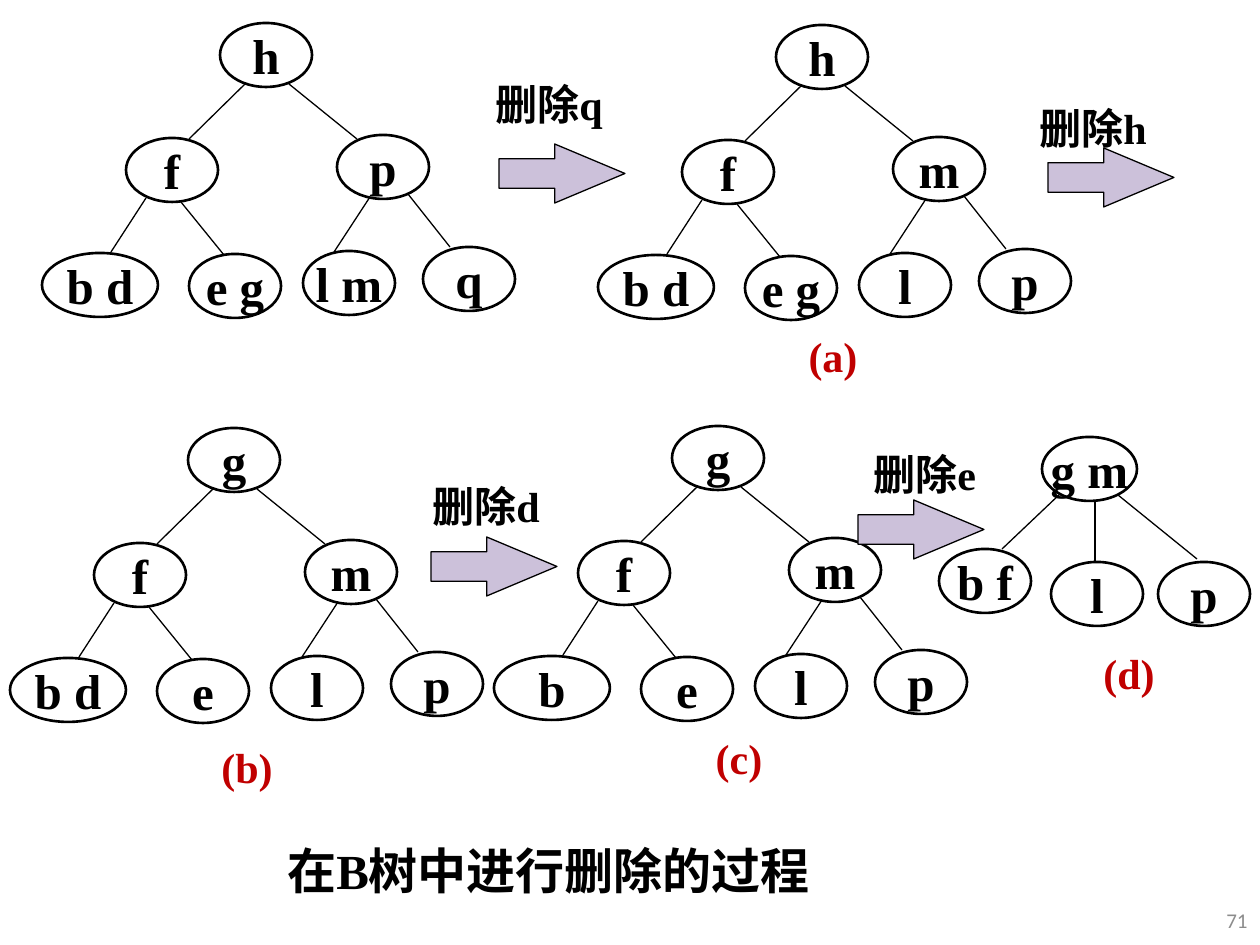
from dataclasses import dataclass

import lxml.etree
import pptx
import pptx.dml.color
import pptx.enum.shapes
import pptx.enum.text
import pptx.oxml.ns
import pptx.util

PIXELS_PER_INCH = 126
BLACK = "000000"
RED = "C00000"
GRAY = "8C8C8C"
LAVENDER = "CCC1DA"
SERIF = "Times New Roman"
NODE_WIDTH, NODE_HEIGHT = 92, 64
STEP_WIDTH, CAPTION_WIDTH = 150, 84
ALIGN = pptx.enum.text.PP_ALIGN
SHAPE = pptx.enum.shapes.MSO_SHAPE


@dataclass
class Node:
    left: int
    top: int
    width: int = NODE_WIDTH


@dataclass
class Edge:
    start_x: int
    start_y: int
    end_x: int
    end_y: int


@dataclass
class Tree:
    left: int
    top: int
    keys: list[str]
    nodes: list[Node]
    edges: list[Edge]


@dataclass
class Label:
    text: str
    left: int
    top: int
    width: int = STEP_WIDTH
    height: int = 54
    size: int = 24
    color: str = BLACK
    alignment: ALIGN = ALIGN.LEFT
    font: str = SERIF
    bold: bool = True


BINARY_NODES = [
    Node(178, 0),
    Node(84, 115), Node(295, 112),
    Node(0, 230, 116), Node(147, 231), Node(261, 228), Node(381, 224),
]
BINARY_EDGES = [
    Edge(204, 60, 147, 116), Edge(247, 61, 315, 116),
    Edge(104, 175, 69, 229), Edge(139, 179, 182, 232),
    Edge(328, 174, 292, 229), Edge(366, 171, 408, 224),
]
TERNARY_NODES = [Node(103, 0, 95), Node(0, 112), Node(112, 125), Node(219, 125)]
TERNARY_EDGES = [
    Edge(121, 57, 63, 112), Edge(156, 65, 156, 125), Edge(179, 58, 258, 122),
]

TREES = [
    Tree(42, 23, ["h", "f", "p", "b d", "e g", "l m", "q"], BINARY_NODES, BINARY_EDGES),
    Tree(598, 25, ["h", "f", "m", "b d", "e g", "l", "p"], BINARY_NODES, BINARY_EDGES),
    Tree(10, 428, ["g", "f", "m", "b d", "e", "l", "p"], BINARY_NODES, BINARY_EDGES),
    Tree(494, 426, ["g", "f", "m", "b", "e", "l", "p"], BINARY_NODES, BINARY_EDGES),
    Tree(939, 437, ["g m", "b f", "l", "p"], TERNARY_NODES, TERNARY_EDGES),
]

STEPS = [("删除q", 483, 77), ("删除h", 1027, 101), ("删除d", 420, 479), ("删除e", 861, 447)]
CAPTIONS = [("(a)", 791, 329), ("(b)", 205, 740), ("(c)", 697, 731), ("(d)", 1087, 646)]

LABELS = [
    Label("在B树中进行删除的过程", 275, 834, 606, 71, size=28),
    *[Label(text, left, top) for text, left, top in STEPS],
    *[Label(text, left, top, CAPTION_WIDTH, color=RED, alignment=ALIGN.CENTER)
      for text, left, top in CAPTIONS],
    Label("71", 1206, 895, 54, 50, size=12, color=GRAY, alignment=ALIGN.RIGHT,
          font="Calibri", bold=False),
]

ARROWS = [(499, 144), (1048, 148), (431, 537), (858, 500)]


def px(length: int) -> int:
    return round(length * pptx.util.Inches(1) / PIXELS_PER_INCH)


def rgb(color: str) -> pptx.dml.color.RGBColor:
    return pptx.dml.color.RGBColor.from_string(color)


def write_text(shape, text: str, size: int, color: str, alignment: ALIGN,
               font: str, bold: bool, wrap: bool) -> None:
    frame = shape.text_frame
    frame.word_wrap = wrap
    frame.vertical_anchor = pptx.enum.text.MSO_ANCHOR.MIDDLE
    paragraph = frame.paragraphs[0]
    paragraph.text = text
    paragraph.alignment = alignment
    paragraph.font.name = font
    paragraph.font.size = pptx.util.Pt(size)
    paragraph.font.bold = bold
    paragraph.font.color.rgb = rgb(color)


def outline(shape, width: float) -> None:
    shape.line.color.rgb = rgb(BLACK)
    shape.line.width = pptx.util.Pt(width)


def draw_edge(shapes, tree: Tree, edge: Edge) -> None:
    connector = shapes.add_connector(
        pptx.enum.shapes.MSO_CONNECTOR.STRAIGHT,
        px(tree.left + edge.start_x), px(tree.top + edge.start_y),
        px(tree.left + edge.end_x), px(tree.top + edge.end_y))
    outline(connector, 0.75)
    properties = connector._element.spPr
    lxml.etree.SubElement(properties, pptx.oxml.ns.qn("a:effectLst"))


def draw_node(shapes, tree: Tree, node: Node, key: str) -> None:
    ellipse = shapes.add_shape(
        SHAPE.OVAL, px(tree.left + node.left), px(tree.top + node.top),
        px(node.width), px(NODE_HEIGHT))
    ellipse.shadow.inherit = False
    ellipse.fill.background()
    outline(ellipse, 1.5)
    write_text(ellipse, key, 28, BLACK, ALIGN.CENTER, SERIF, bold=True, wrap=False)


def draw_tree(slide, tree: Tree) -> None:
    shapes = slide.shapes.add_group_shape().shapes
    for edge in tree.edges:
        draw_edge(shapes, tree, edge)
    for node, key in zip(tree.nodes, tree.keys):
        draw_node(shapes, tree, node, key)


def draw_label(slide, label: Label) -> None:
    box = slide.shapes.add_textbox(
        px(label.left), px(label.top), px(label.width), px(label.height))
    write_text(box, label.text, label.size, label.color, label.alignment,
               label.font, label.bold, wrap=True)


def draw_arrow(slide, left: int, top: int) -> None:
    arrow = slide.shapes.add_shape(SHAPE.RIGHT_ARROW, px(left), px(top), px(126), px(59))
    arrow.adjustments[0] = 0.5
    arrow.adjustments[1] = 1.19
    arrow.shadow.inherit = False
    arrow.fill.solid()
    arrow.fill.fore_color.rgb = rgb(LAVENDER)
    outline(arrow, 0.75)


def main() -> None:
    presentation = pptx.Presentation()
    presentation.slide_width = px(1260)
    presentation.slide_height = px(945)
    slide = presentation.slides.add_slide(presentation.slide_layouts[6])
    for tree in TREES:
        draw_tree(slide, tree)
    for label in LABELS:
        draw_label(slide, label)
    for left, top in ARROWS:
        draw_arrow(slide, left, top)
    presentation.save("out.pptx")


if __name__ == "__main__":
    main()
